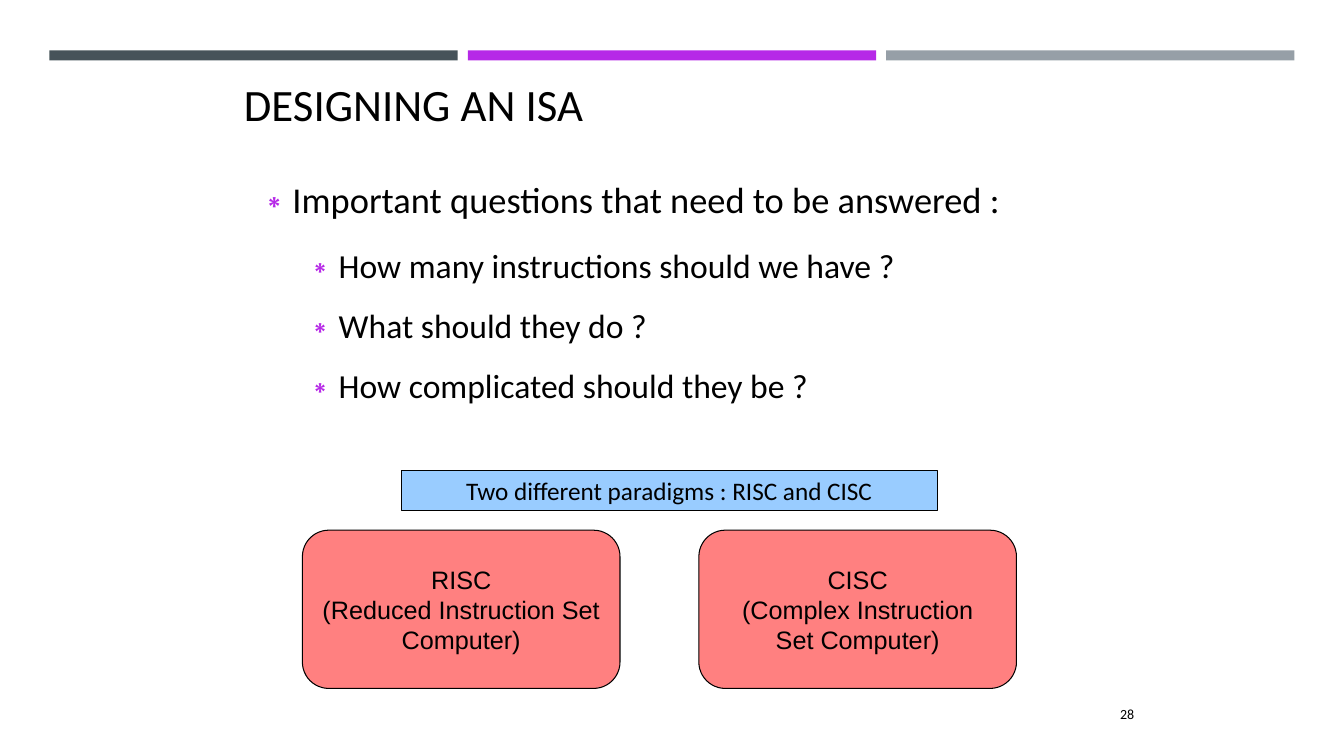
from dataclasses import dataclass

from lxml.etree import SubElement
from pptx import Presentation
from pptx.dml.color import RGBColor
from pptx.enum.shapes import MSO_SHAPE as Shape
from pptx.enum.text import MSO_ANCHOR as Anchor, MSO_AUTO_SIZE as AutoSize, PP_ALIGN as Align
from pptx.oxml.ns import qn
from pptx.util import Inches, Pt


@dataclass(frozen=True)
class Theme:
    text: str = "000000"
    accent: str = "B629E7"
    bars: tuple[str, ...] = ("465359", "B629E7", "969FA7")
    banner: str = "99CCFF"
    card: str = "FF8080"
    font: str = "Calibri"
    card_font: str = "Arial"
    title_size: int = 32
    body_sizes: tuple[int, ...] = (26, 24)
    body_gaps: tuple[float, ...] = (14.1, 11.3)
    label_size: int = 18
    number_size: int = 10


@dataclass(frozen=True)
class Box:
    """Position and size in percent of the slide's width and height."""
    left: float
    top: float
    width: float
    height: float

    def shifted(self, step: float, n: int) -> "Box":
        return Box(self.left + step * n, self.top, self.width, self.height)

    def emu(self) -> dict[str, int]:
        return {"left": int(W * self.left / 100), "top": int(H * self.top / 100),
                "width": int(W * self.width / 100), "height": int(H * self.height / 100)}


@dataclass(frozen=True)
class Label:
    box: Box
    kind: Shape
    fill: str
    font: str
    lines: tuple[str, ...]


W, H = Inches(13.33), Inches(7.5)
THEME = Theme()

BAR, BAR_STEP = Box(3.68, 6.67, 30.38, 1.33), 31.13
TITLE = Box(18.15, 6.93, 60.84, 13.6)
BODY = Box(18.15, 21.07, 59.34, 34.4)
BANNER = Box(29.86, 62.27, 39.87, 5.25)
CARD, CARD_STEP = Box(22.5, 70.13, 23.63, 20.93), 29.5
NUMBER = Box(82.6, 92.67, 4.58, 5.33)

QUESTIONS = (
    (0, "Important questions that need to be answered :"),
    (1, "How many instructions should we have ?"),
    (1, "What should they do ?"),
    (1, "How complicated should they be ?"),
)
CARDS = (
    ("RISC", "(Reduced Instruction Set", "Computer)"),
    ("CISC", "(Complex Instruction", "Set Computer)"),
)
LABELS = (
    Label(BANNER, Shape.RECTANGLE, THEME.banner, THEME.font,
          ("Two different paradigms : RISC and CISC",)),
    *(Label(CARD.shifted(CARD_STEP, i), Shape.ROUNDED_RECTANGLE, THEME.card,
            THEME.card_font, lines) for i, lines in enumerate(CARDS)),
)


def apply(obj, values: dict) -> None:
    for name, value in values.items():
        setattr(obj, name, value)


def write(p, text: str, size: float, font: str = THEME.font) -> None:
    r = p.add_run()
    r.text = text
    apply(r.font, {"size": Pt(size), "name": font})
    r.font.color.rgb = RGBColor.from_string(THEME.text)


def add_block(s, kind: Shape, box: Box, fill: str):
    sp = s.shapes.add_shape(kind, **box.emu())
    sp.shadow.inherit = False
    sp.fill.solid()
    sp.fill.fore_color.rgb = RGBColor.from_string(fill)
    sp.line.fill.background()
    return sp


def add_label(s, label: Label) -> None:
    sp = add_block(s, label.kind, label.box, label.fill)
    sp.line.color.rgb = RGBColor.from_string(THEME.text)
    sp.line.width = Pt(0)
    tf = sp.text_frame
    apply(tf, {"word_wrap": False, "vertical_anchor": Anchor.MIDDLE})
    for i, line in enumerate(label.lines):
        p = tf.add_paragraph() if i else tf.paragraphs[0]
        p.alignment = Align.CENTER
        write(p, line, THEME.label_size, label.font)


def place(sp, box: Box):
    apply(sp, box.emu())
    tf = sp.text_frame
    apply(tf, {"margin_left": 0, "margin_top": 0, "margin_right": 0, "margin_bottom": 0,
               "word_wrap": True, "auto_size": AutoSize.NONE,
               "vertical_anchor": Anchor.MIDDLE})
    return tf


def add_bullet(p, level: int, text: str) -> None:
    apply(p, {"level": level, "alignment": Align.LEFT, "line_spacing": 1.1,
              "space_before": Pt(0), "space_after": Pt(THEME.body_gaps[level])})
    pPr = p._p.get_or_add_pPr()
    pPr.set("marL", str(Inches(0.47 * (level + 1))))
    pPr.set("indent", str(Inches(-0.35)))
    color = SubElement(pPr, qn("a:buClr"))
    SubElement(color, qn("a:srgbClr"), val=THEME.accent)
    SubElement(pPr, qn("a:buChar"), char="∗")
    write(p, text, THEME.body_sizes[level])


def main() -> None:
    prs = Presentation()
    apply(prs, {"slide_width": W, "slide_height": H})
    s = prs.slides.add_slide(prs.slide_layouts[1])

    # Top bars
    for i, color in enumerate(THEME.bars):
        add_block(s, Shape.RECTANGLE, BAR.shifted(BAR_STEP, i), color)

    # Title
    p = place(s.shapes.title, TITLE).paragraphs[0]
    p.alignment = Align.LEFT
    write(p, "DESIGNING AN ISA", THEME.title_size)

    # Questions
    tf = place(s.placeholders[1], BODY)
    for i, (level, text) in enumerate(QUESTIONS):
        add_bullet(tf.add_paragraph() if i else tf.paragraphs[0], level, text)

    # Paradigm banner and cards
    for label in LABELS:
        add_label(s, label)

    # Slide number
    tf = s.shapes.add_textbox(**NUMBER.emu()).text_frame
    tf.word_wrap = True
    write(tf.paragraphs[0], "28", THEME.number_size)

    prs.save("out.pptx")


if __name__ == "__main__":
    main()
